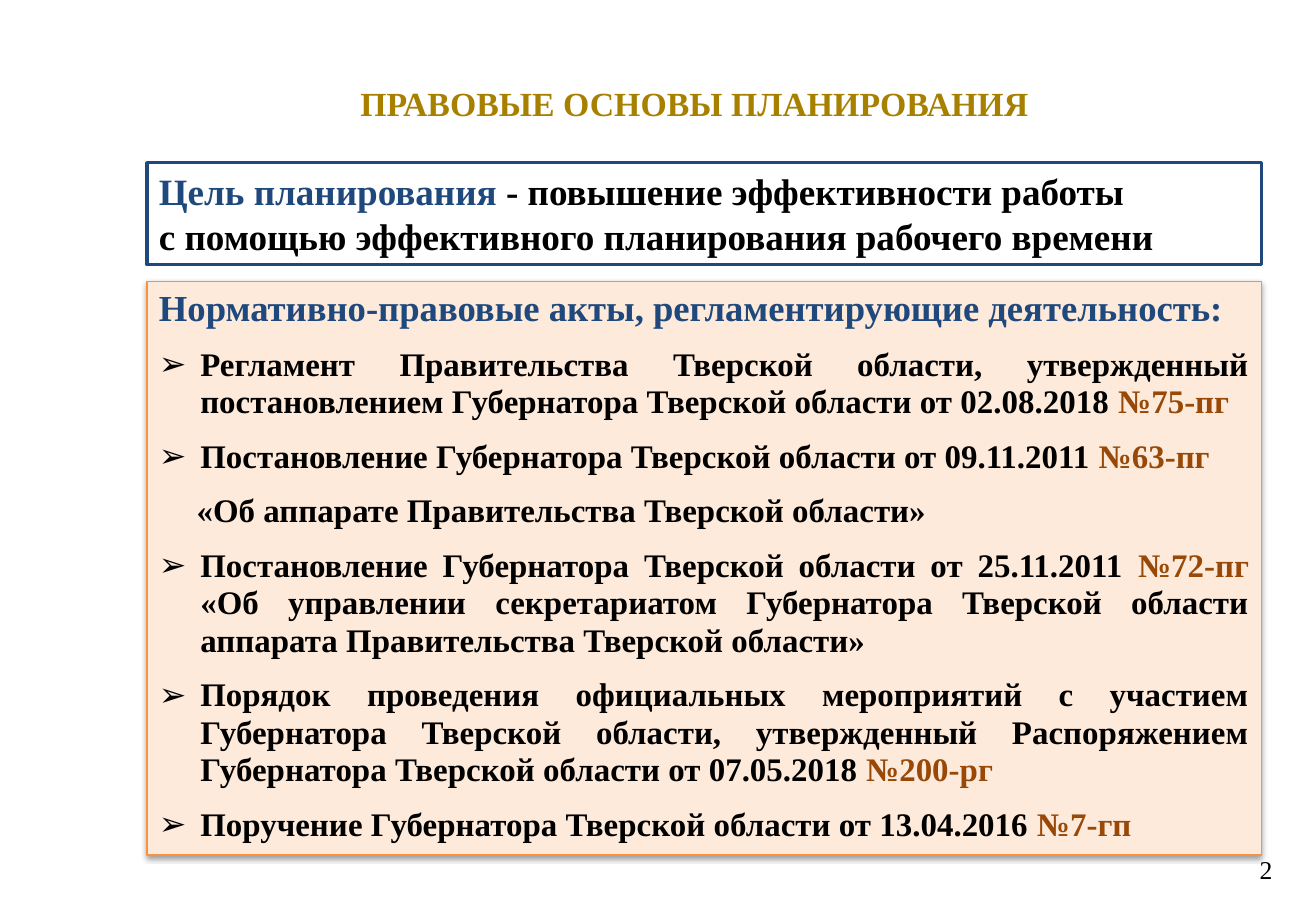
from lxml import etree
from pptx import Presentation
from pptx.dml.color import RGBColor
from pptx.enum.shapes import MSO_SHAPE as Shape
from pptx.enum.text import MSO_ANCHOR as Anchor, PP_ALIGN as Align
from pptx.oxml import parse_xml
from pptx.oxml.ns import nsdecls, qn
from pptx.util import Inches, Pt

FONT = "Times New Roman"
BLACK, WHITE, NAVY, GOLD = "000000", "FFFFFF", "1F497D", "A88000"
BROWN, PEACH, ORANGE = "984807", "FDEADA", "F69240"
LEFT, WIDTH = 1.21, 9.17

PURPOSE = [
    [("Цель планирования ", NAVY), ("- повышение эффективности работы", BLACK)],
    [("с помощью эффективного планирования рабочего времени", BLACK)],
]
ACTS_HEADING = "Нормативно-правовые акты, регламентирующие деятельность:"
# Each act: whether it has a bullet, then its coloured pieces of text
ACTS = [
    (True, [("Регламент Правительства Тверской области, утвержденный постановлением "
             "Губернатора Тверской области от 02.08.2018 ", BLACK), ("№75-пг", BROWN)]),
    (True, [("Постановление Губернатора Тверской области от 09.11.2011 ", BLACK),
            ("№63-пг ", BROWN)]),
    (False, [("«Об аппарате Правительства Тверской области»", BLACK)]),
    (True, [("Постановление Губернатора Тверской области от 25.11.2011", BLACK),
            (" №72-пг ", BROWN),
            ("«Об управлении секретариатом Губернатора Тверской области "
             "аппарата Правительства Тверской области»", BLACK)]),
    (True, [("Порядок проведения официальных мероприятий с участием Губернатора "
             "Тверской области, утвержденный Распоряжением Губернатора "
             "Тверской области от 07.05.2018 ", BLACK), ("№200-рг", BROWN)]),
    (True, [("Поручение Губернатора Тверской области от 13.04.2016 ", BLACK),
            ("№7-гп", BROWN)]),
]


def rgb(hex_color):
    return RGBColor.from_string(hex_color)


def set_all(target, values):
    for name, value in values.items():
        setattr(target, name, value)


def write(paragraph, pieces, size, bold=True, **layout):
    """Add (text, colour) pieces to a paragraph and set its layout."""
    set_all(paragraph, {"alignment": Align.LEFT, **layout})
    for text, color in pieces:
        run = paragraph.add_run()
        run.text = text
        set_all(run.font, {"name": FONT, "size": Pt(size), "bold": bold})
        run.font.color.rgb = rgb(color)


def indent(paragraph, margin, first_line, bullet=None):
    properties = paragraph._p.get_or_add_pPr()
    properties.set("marL", str(Inches(margin)))
    properties.set("indent", str(Inches(first_line)))
    if bullet:
        etree.SubElement(properties, qn("a:buFont")).set("typeface", "Arial")
        etree.SubElement(properties, qn("a:buChar")).set("char", bullet)


def add_panel(slide, box, fill, line, line_width):
    panel = slide.shapes.add_shape(Shape.RECTANGLE, *map(Inches, box))
    panel.shadow.inherit = False
    panel.fill.solid()
    panel.fill.fore_color.rgb = rgb(fill)
    panel.line.color.rgb = rgb(line)
    panel.line.width = Pt(line_width)
    set_all(panel.text_frame, {"word_wrap": True, "vertical_anchor": Anchor.TOP})
    return panel


def add_soft_shadow(panel):
    effects = panel._element.spPr.find(qn("a:effectLst"))
    effects.append(parse_xml(
        f'<a:outerShdw {nsdecls("a")} blurRad="{Pt(3.1)}" dist="{Pt(1.6)}" '
        'dir="5400000" rotWithShape="0"><a:srgbClr val="000000">'
        '<a:alpha val="38000"/></a:srgbClr></a:outerShdw>'))


def add_title(slide, box):
    title = slide.shapes.title
    set_all(title, dict(zip(("left", "top", "width", "height"), map(Inches, box))))
    set_all(title.text_frame, {"word_wrap": True, "vertical_anchor": Anchor.TOP})
    write(title.text_frame.paragraphs[0], [("ПРАВОВЫЕ ОСНОВЫ ПЛАНИРОВАНИЯ", GOLD)],
          20, alignment=Align.CENTER)


def add_purpose(slide, box):
    frame = add_panel(slide, box, WHITE, NAVY, 2).text_frame
    for index, pieces in enumerate(PURPOSE):
        write(frame.add_paragraph() if index else frame.paragraphs[0], pieces, 22)


def add_acts(slide, box):
    panel = add_panel(slide, box, PEACH, ORANGE, 0.75)
    add_soft_shadow(panel)
    frame = panel.text_frame
    write(frame.paragraphs[0], [(ACTS_HEADING, NAVY)], 21.7, line_spacing=0.95)
    for bulleted, pieces in ACTS:
        act = frame.add_paragraph()
        write(act, pieces, 19.5, alignment=Align.JUSTIFY,
              line_spacing=0.95, space_before=Pt(10))
        if bulleted:
            indent(act, 0.34, -0.34, "➢")
        else:
            indent(act, 0, 0.31)


def add_page_number(slide, box):
    frame = slide.shapes.add_textbox(*map(Inches, box)).text_frame
    set_all(frame, {"word_wrap": True, "vertical_anchor": Anchor.MIDDLE})
    write(frame.paragraphs[0], [("2", BLACK)], 15.2, bold=False, alignment=Align.RIGHT)


def main():
    deck = Presentation()
    set_all(deck, {"slide_width": Inches(10.83), "slide_height": Inches(7.5)})
    slide = deck.slides.add_slide(deck.slide_layouts.get_by_name("Title Only"))
    add_title(slide, (LEFT, 0.63, 9.01, 0.44))
    add_acts(slide, (LEFT, 2.32, WIDTH, 4.72))
    add_purpose(slide, (LEFT, 1.34, WIDTH, 0.84))
    add_page_number(slide, (10.18, 7, 0.39, 0.32))
    deck.save("out.pptx")


if __name__ == "__main__":
    main()
